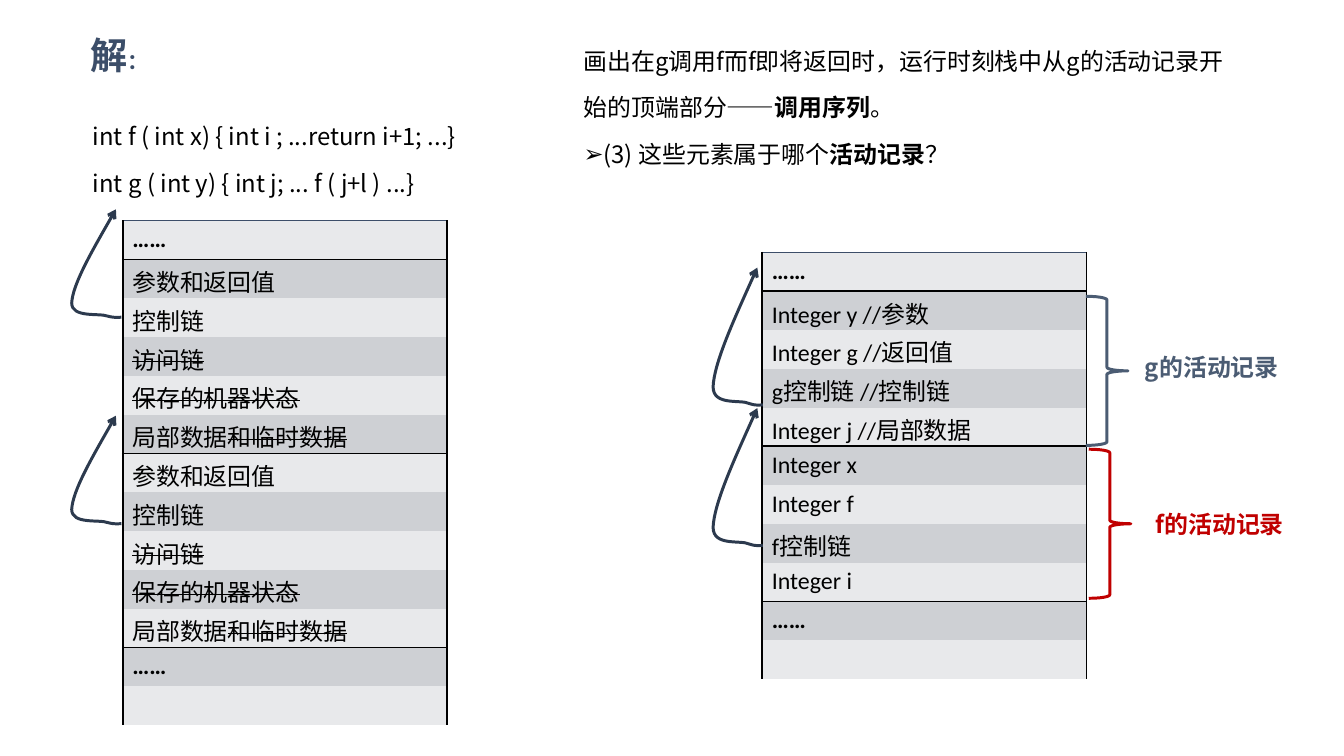
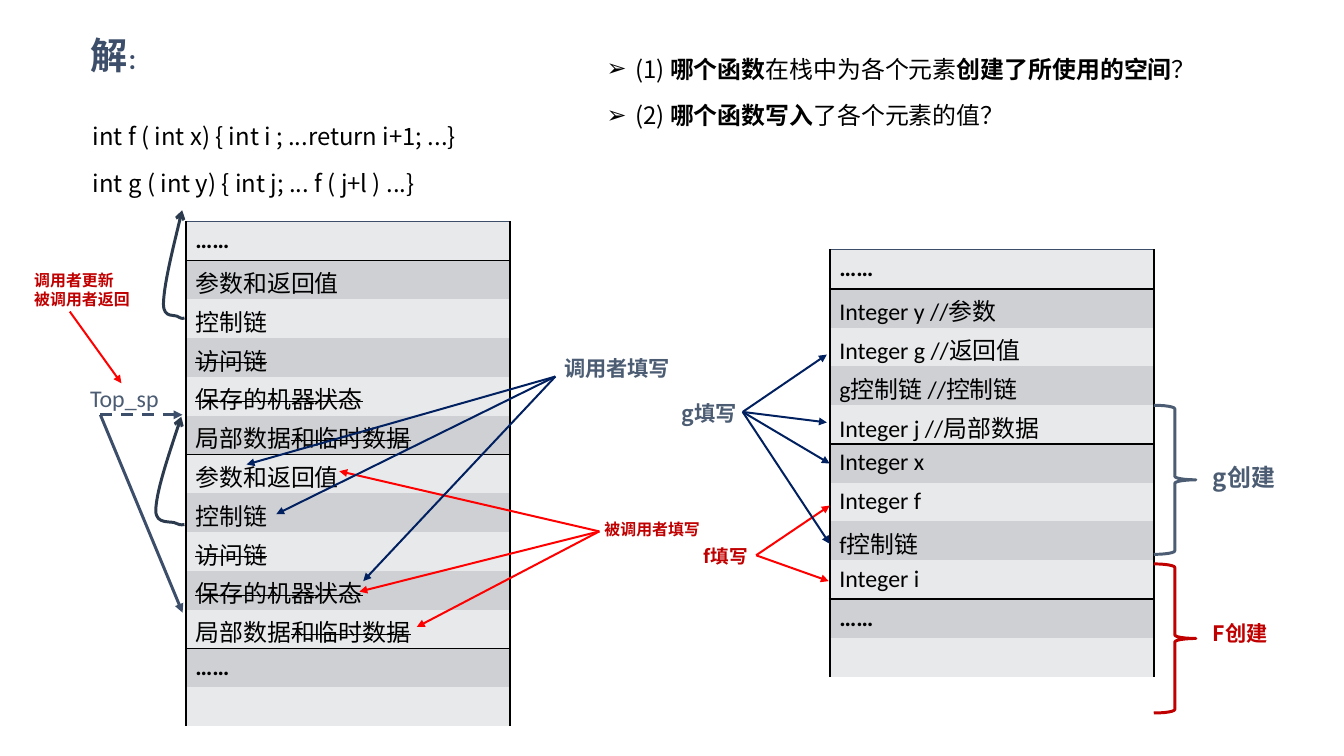
from dataclasses import dataclass
from typing import NamedTuple

from lxml import etree
from pptx import Presentation, slide as sl, util as u
from pptx.dml import color
from pptx.enum import dml, lang, shapes, text
from pptx.oxml import ns


@dataclass(frozen=True)
class Theme:
    wide: float = 140.6
    high: float = 79.1
    row: float = 4.06
    table: float = 33.9
    cjk: str = "Noto Sans CJK SC"
    latin: str = "Calibri"
    black: str = "000000"
    slate: str = "3C4E69"
    steel: str = "4B5C73"
    ink: str = "2C3A4E"
    navy: str = "002060"
    red: str = "FF0000"
    wine: str = "C00000"
    bands: tuple[str, str] = ("E8E9EB", "CED0D4")
    head: int = 28
    body: int = 18
    note: int = 16
    small: int = 14
    tiny: int = 12
    lead: int = 35
    thin: float = 1.5
    bold: float = 2.25


T = Theme()


class Spot(NamedTuple):
    x: float
    y: float


class Box(NamedTuple):
    x: float
    y: float
    w: float
    h: float


class Bit(NamedTuple):
    word: str
    bold: bool = False
    struck: bool = False


class Para(NamedTuple):
    bits: tuple[Bit, ...]
    left: float | None = None


@dataclass(frozen=True)
class Label:
    at: Spot
    lines: tuple[str, ...]
    size: int
    hue: str
    width: float = 17.3
    face: str = T.cjk
    bold: bool = True


@dataclass(frozen=True)
class Fan:
    start: Spot
    ends: tuple[Spot, ...]
    hue: str
    width: float = T.thin
    dash: bool = False


@dataclass(frozen=True)
class Brace:
    at: Spot
    hue: str


DOTS = (Bit("……", True),)
REST = (Bit("局部数据"), Bit("和临时数据", struck=True))
RECORD = (
    (Bit("参数和返回值"),),
    (Bit("控制链"),),
    (Bit("访问链", struck=True),),
    (Bit("保存的机器状态", struck=True),),
    REST,
)
STACK = (DOTS, *RECORD, *RECORD, DOTS, ())
NAMES = (
    "Integer y //参数", "Integer g //返回值", "g控制链 //控制链", "Integer j //局部数据",
    "Integer x", "Integer f", "f控制链", "Integer i",
)
CALLS = (DOTS, *((Bit(n),) for n in NAMES), DOTS, ())
CODE = (
    Para((Bit("int f ( int x) { int i ; ...return i+1; ...}"),)),
    Para((Bit("int g ( int y) { int j; ... f ( j+l ) ...}"),)),
)
HOOK = (
    Spot(1, 0.99),
    Spot(0.95, 0.99), Spot(0.89, 1), Spot(0.72, 0.98),
    Spot(0.56, 0.95), Spot(0, 1), Spot(0, 0.86),
    Spot(0.02, 0.69), Spot(0.45, 0.35), Spot(0.89, 0),
)


def cell(n: float) -> u.Emu:
    return u.Inches(n / 10)


def rgb(hue: str) -> color.RGBColor:
    return color.RGBColor.from_string(hue)


def sub(node, tag: str, **attrs: str):
    return etree.SubElement(node, ns.qn(tag), attrs)


def write(para, bit: Bit, size: int, hue: str, face: str = T.cjk) -> None:
    run = para.add_run()
    run.text = bit.word
    font = run.font
    font.size, font.bold, font.name = u.Pt(size), bit.bold, face
    font.color.rgb = rgb(hue)
    font.language_id = lang.MSO_LANGUAGE_ID.SIMPLIFIED_CHINESE
    props = run._r.get_or_add_rPr()
    sub(props, "a:ea", typeface=T.cjk)
    if bit.struck:
        props.set("strike", "sngStrike")


def place(shape, box: Box) -> None:
    shape.left, shape.top, shape.width, shape.height = map(cell, box)
    frame = shape.text_frame
    frame.word_wrap = True
    frame.auto_size = text.MSO_AUTO_SIZE.NONE
    frame.vertical_anchor = text.MSO_ANCHOR.TOP


def title(page: sl.Slide) -> None:
    shape = page.shapes.title
    place(shape, Box(8.45, 2.9, 31.9, 7.5))
    para = shape.text_frame.paragraphs[0]
    para.alignment = text.PP_ALIGN.LEFT
    para.line_spacing = 1.0
    write(para, Bit("解", True), T.head, T.slate)
    write(para, Bit("：", True), T.note, T.slate)


def prose(shape, box: Box, paras: tuple[Para, ...]) -> None:
    place(shape, box)
    frame = shape.text_frame
    for n, item in enumerate(paras):
        para = frame.add_paragraph() if n else frame.paragraphs[0]
        para.line_spacing = u.Pt(T.lead)
        para.space_before = u.Pt(0)
        props = para._p.get_or_add_pPr()
        listed = item.left is not None
        props.set("marL", str(cell(item.left or 0)))
        props.set("indent", str(cell(-3 if listed else 0)))
        if listed:
            sub(props, "a:buChar", char="➢")
        else:
            sub(props, "a:buNone")
        for bit in item.bits:
            write(para, bit, T.body, T.black)


def edge(props, side: str, hue: str | None, width: float = T.thin) -> None:
    line = sub(props, f"a:ln{side}", w=str(u.Pt(width)))
    if hue:
        sub(sub(line, "a:solidFill"), "a:srgbClr", val=hue)
    else:
        sub(line, "a:noFill")


def table(page: sl.Slide, at: Spot, rows: tuple, cuts: tuple[int, ...]) -> None:
    box = Box(*at, T.table, T.row * len(rows))
    grid = page.shapes.add_table(len(rows), 1, *map(cell, box)).table
    grid.first_row = grid.horz_banding = False
    for n, bits in enumerate(rows):
        slot = grid.cell(n, 0)
        slot.margin_top, slot.margin_bottom = cell(0.44), 0
        props = slot._tc.get_or_add_tcPr()
        edge(props, "L", T.black)
        edge(props, "R", T.black)
        if n:
            edge(props, "T", T.black if n - 1 in cuts else None)
        else:
            edge(props, "T", T.slate, 1)
        edge(props, "B", T.black if n in cuts else None)
        slot.fill.solid()
        slot.fill.fore_color.rgb = rgb(T.bands[n % 2])
        for bit in bits:
            write(slot.text_frame.paragraphs[0], bit, T.body, T.black, T.latin)


def stroke(shape, hue: str, width: float, tip: str = "") -> None:
    shape.line.color.rgb = rgb(hue)
    shape.line.width = u.Pt(width)
    if tip:
        sub(shape._element.spPr.find(ns.qn("a:ln")), "a:tailEnd", type=tip)


def bend(shape) -> None:
    trace = next(shape._element.iter(ns.qn("a:path")))
    legs = trace.findall(ns.qn("a:lnTo"))
    for n in range(0, len(legs), 3):
        arc = sub(trace, "a:cubicBezTo")
        for leg in legs[n:n + 3]:
            arc.append(leg[0])
            trace.remove(leg)


def hook(page: sl.Slide, box: Box) -> None:
    spots = [(cell(box.x + p.x * box.w), cell(box.y + p.y * box.h)) for p in HOOK]
    maker = page.shapes.build_freeform(*spots[0])
    maker.add_line_segments(spots[1:], close=False)
    shape = maker.convert_to_shape()
    bend(shape)
    shape.shadow.inherit = False
    shape.fill.background()
    stroke(shape, T.ink, T.bold, "arrow")


def brace(page: sl.Slide, item: Brace) -> None:
    box = Box(*item.at, 4.4, 15.6)
    shape = page.shapes.add_shape(shapes.MSO_SHAPE.LEFT_BRACE, *map(cell, box))
    shape.rotation = 180
    shape.shadow.inherit = False
    shape.fill.background()
    stroke(shape, item.hue, T.bold)


def label(page: sl.Slide, item: Label) -> None:
    box = Box(*item.at, item.width, 1 + 0.17 * item.size * len(item.lines))
    shape = page.shapes.add_textbox(*map(cell, box))
    place(shape, box)
    frame = shape.text_frame
    for n, line in enumerate(item.lines):
        para = frame.add_paragraph() if n else frame.paragraphs[0]
        write(para, Bit(line, item.bold), item.size, item.hue, item.face)


def fan(page: sl.Slide, item: Fan) -> None:
    for end in item.ends:
        line = page.shapes.add_connector(
            shapes.MSO_CONNECTOR.STRAIGHT, *map(cell, (*item.start, *end)))
        if item.dash:
            line.line.dash_style = dml.MSO_LINE.DASH
        stroke(line, item.hue, item.width, "triangle")
        sub(line._element.spPr, "a:effectLst")


def scene(deck, asks: tuple[Para, ...], box: Box, left: Spot, right: Spot,
          hooks: tuple[Box, ...], braces: tuple[Brace, ...],
          fans: tuple[Fan, ...], labels: tuple[Label, ...]) -> None:
    page = deck.slides.add_slide(deck.slide_layouts[3])
    title(page)
    prose(page.placeholders[1], Box(8.7, 10.4, 70.3, 10.2), CODE)
    prose(page.placeholders[2], box, asks)
    table(page, left, STACK, (0, 5, 10))
    table(page, right, CALLS, (0, 4, 8))
    for draw, items in ((hook, hooks), (brace, braces), (fan, fans), (label, labels)):
        for item in items:
            draw(page, item)


def main() -> None:
    deck = Presentation()
    deck.slide_width, deck.slide_height = cell(T.wide), cell(T.high)
    scene(
        deck,
        (Para((Bit("画出在g调用f而f即将返回时，运行时刻栈中从g的活动记录开始的顶端部分——"),
               Bit("调用序列", True), Bit("。"))),
         Para((Bit("(3) 这些元素属于哪个"), Bit("活动记录", True), Bit("？")), 0.4)),
        Box(60.05, 2.5, 70.3, 29.8), Spot(12.84, 23.1), Spot(79.75, 26.4),
        (Box(7.5, 43.5, 5.2, 11.4), Box(7.5, 21.9, 5.2, 11.4),
         Box(74.6, 42.7, 5.2, 14.5), Box(74.6, 28, 5.2, 14.5)),
        (Brace(Spot(113.6, 31), T.steel), Brace(Spot(113.9, 47), T.wine)),
        (),
        (Label(Spot(118.8, 36.4), ("g的活动记录",), T.body, T.steel),
         Label(Spot(119.9, 52.8), ("f的活动记录",), T.body, T.wine)),
    )
    top = Spot(10.5, 43.4)
    scene(
        deck,
        (Para((Bit("(1) "), Bit("哪个函数", True), Bit("在栈中为各个元素"),
               Bit("创建了所使用的空间", True), Bit("？")), 7.4),
         Para((Bit("(2) "), Bit("哪个函数写入", True), Bit("了各个元素的值？")), 7.4)),
        Box(58.05, 3.3, 70.3, 10.2), Spot(19.45, 23.2), Spot(86.8, 26.15),
        (Box(16.3, 43.6, 3, 11.4), Box(17.1, 22, 2.2, 11.4)),
        (Brace(Spot(120.7, 42.4), T.steel), Brace(Spot(120.7, 59), T.wine)),
        (Fan(Spot(79.1, 58.1), (Spot(86.8, 52.9), Spot(86.7, 60.8)), T.red),
         Fan(Spot(77.7, 43.1), (Spot(86.5, 37.1), Spot(86.5, 44.2),
                                Spot(86.8, 48.5), Spot(86.8, 56.9)), T.navy),
         Fan(top, (Spot(19.1, 43.4),), T.slate, T.bold, True),
         Fan(top, (Spot(19.1, 64.1),), T.slate, T.bold),
         Fan(Spot(62.7, 55.6), (Spot(35.5, 49.3), Spot(37.6, 61.9),
                                Spot(43.6, 65.6)), T.red),
         Fan(Spot(58.1, 39.4), (Spot(25.8, 48.6), Spot(28.9, 53.8),
                                Spot(38, 60.8)), T.navy),
         Fan(Spot(7.3, 32.6), (Spot(12.7, 40.1),), T.red)),
        (Label(Spot(125.9, 47.9), ("g创建",), T.body, T.steel, 13),
         Label(Spot(125.9, 64.4), ("F创建",), T.note, T.wine, 13),
         Label(Spot(70.3, 41.4), ("g填写",), T.note, T.steel),
         Label(Spot(72.65, 56.5), ("f填写",), T.small, T.wine),
         Label(Spot(8.45, 39.65), ("Top_sp",), T.body, T.steel, face=T.latin, bold=False),
         Label(Spot(2.6, 27.85), ("调用者更新", "被调用者返回"), T.tiny, T.wine),
         Label(Spot(58.05, 36.7), ("调用者填写",), T.note, T.steel),
         Label(Spot(62.25, 53.85), ("被调用者填写",), T.tiny, T.wine)),
    )
    deck.save("out.pptx")


if __name__ == "__main__":
    main()
